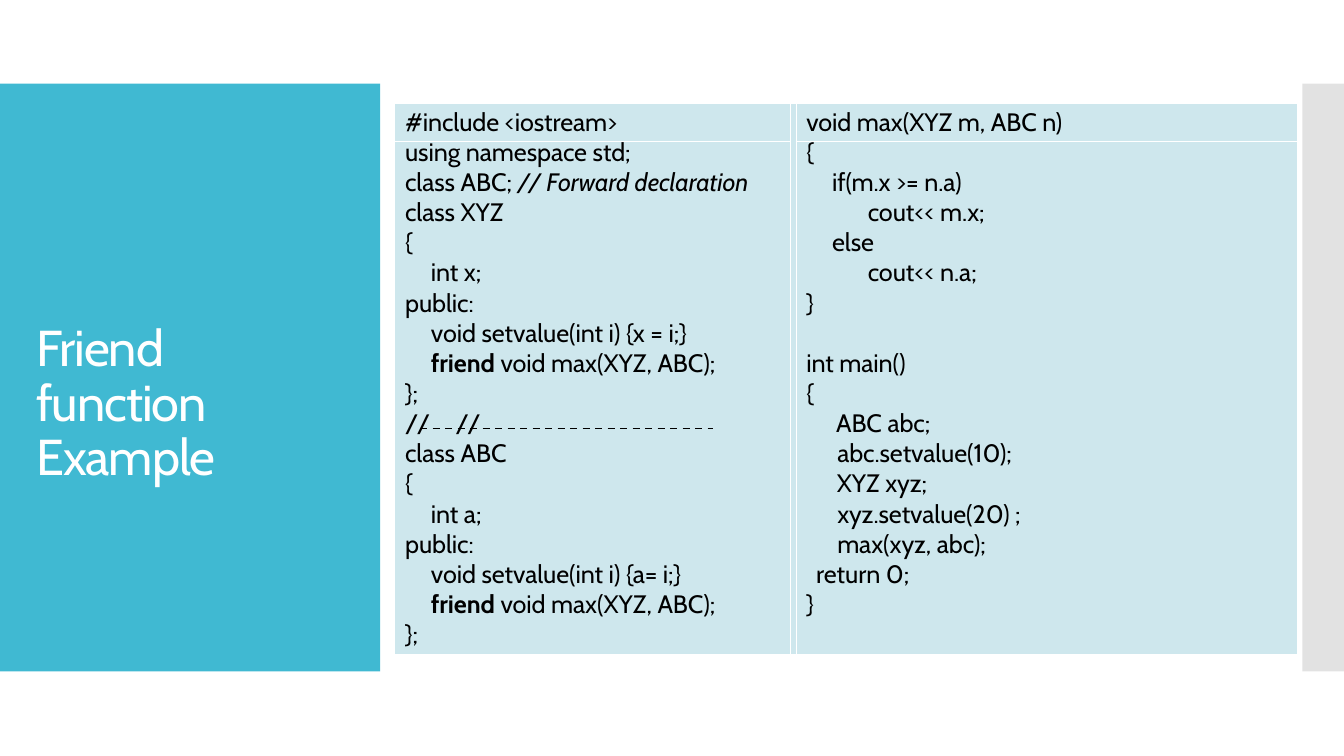
from lxml import etree
from pptx import Presentation, util as u
from pptx.dml.color import RGBColor
from pptx.enum import dml, shapes, text
from pptx.oxml import ns

COLOURS = {"teal": "40B9D2", "grey": "C7C7C7", "cell": "CEE7ED", "white": "FFFFFF", "black": "000000"}
FONT = "Cabin"
NO_STYLE = "{2D5ABB26-0587-4C30-8999-92F81FD0307C}"
STYLED = {"friend ": "bold", "// Forward declaration": "italic"}
LEFT_CODE = [
    (0.25, ["#include <iostream>"]),
    (0.25, ["using namespace std;"]),
    (0.25, ["class ABC; ", "// Forward declaration"]),
    (0.25, ["class XYZ"]),
    (0.25, ["{"]),
    (0.9, ["int x;"]),
    (0.25, ["public:"]),
    (0.9, ["void setvalue(int i) {x = i;}"]),
    (0.9, ["friend ", "void max(XYZ, ABC);"]),
    (0.25, ["};"]),
    (0.25, ["//\t//"]),
    (0.25, ["class ABC"]),
    (0.25, ["{"]),
    (0.9, ["int a;"]),
    (0.25, ["public:"]),
    (0.9, ["void setvalue(int i) {a= i;}"]),
    (0.9, ["friend ", "void max(XYZ, ABC);"]),
    (0.25, ["};"]),
]
RIGHT_CODE = [
    (0.25, ["void max(XYZ m, ABC n)"]),
    (0.25, ["{"]),
    (0.9, ["if(m.x >= n.a)"]),
    (1.8, ["cout<< m.x;"]),
    (0.9, ["else"]),
    (1.8, ["cout<< n.a;"]),
    (0.25, ["}"]),
    (0.25, []),
    (0.25, ["int main()"]),
    (0.25, ["{"]),
    (1, ["ABC abc;"]),
    (1.03, ["abc.setvalue(10);"]),
    (1.02, ["XYZ xyz;"]),
    (1.03, ["xyz.setvalue(20) ;"]),
    (1.03, ["max(xyz, abc);"]),
    (0.5, ["return 0;"]),
    (0.25, ["}"]),
    (0.25, []),
]


def add_span(para, wording, size, colour, spacing):
    span = para.add_run()
    span.text = wording
    span.font.name = FONT
    span.font.size = u.Pt(size)
    span.font.color.rgb = RGBColor.from_string(COLOURS[colour])
    span.font._element.set("spc", str(spacing))
    return span


def add_border(cell, side):
    line = etree.Element(ns.qn("a:" + side), w=str(u.Pt(1)))
    solid = etree.SubElement(line, ns.qn("a:solidFill"))
    etree.SubElement(solid, ns.qn("a:srgbClr"), val=COLOURS["white"])
    properties = cell._tc.get_or_add_tcPr()
    borders = [item for item in properties if item.tag.startswith(ns.qn("a:ln"))]
    properties.insert(len(borders), line)


deck = Presentation()
deck.slide_width, deck.slide_height = u.Cm(33.87), u.Cm(19.05)
page = deck.slides.add_slide(deck.slide_layouts[5])

for left, width, colour in [(0, 9.58, "teal"), (32.82, 1.05, "grey")]:
    panel = page.shapes.add_shape(
        shapes.MSO_SHAPE.RECTANGLE, u.Cm(left), u.Cm(2.11), u.Cm(width), u.Cm(14.81))
    panel.shadow.inherit = False
    panel.fill.solid()
    panel.fill.fore_color.rgb = RGBColor.from_string(COLOURS[colour])
    panel.line.fill.background()
    if colour == "grey":
        shade = panel._element.spPr.find(".//" + ns.qn("a:srgbClr"))
        etree.SubElement(shade, ns.qn("a:alpha"), val="50000")

frame = page.shapes.add_table(20, 3, u.Cm(9.96), u.Cm(2.11), u.Cm(22.73), u.Cm(14.8))
table = frame.table
table.first_row = table.horz_banding = False
table._tbl.tblPr.find(ns.qn("a:tableStyleId")).text = NO_STYLE
for column, width in zip(table.columns, [9.96, 0.15, 12.62]):
    column.width = u.Cm(width)
for row, height in zip(table.rows, [0.51, 0.94] + [0.76] * 17 + [0.41]):
    row.height = u.Cm(height)
for cell in table.iter_cells():
    cell.margin_left = cell.margin_right = cell.margin_top = cell.margin_bottom = 0
    cell.fill.background()

for column, code in [(0, LEFT_CODE), (2, RIGHT_CODE)]:
    for row, (indent, spans) in enumerate(code, 1):
        cell = table.cell(row, column)
        cell.fill.solid()
        cell.fill.fore_color.rgb = RGBColor.from_string(COLOURS["cell"])
        para = cell.text_frame.paragraphs[0]
        properties = para._p.get_or_add_pPr()
        properties.set("marL", str(u.Cm(indent)))
        properties.set("indent", "0")
        if row == 1:
            cell.margin_top = u.Cm(0.08)
            add_border(cell, "lnB")
        else:
            para.line_spacing = u.Pt(18.8)
        if "//\t//" in spans:
            tabs = etree.SubElement(properties, ns.qn("a:tabLst"))
            etree.SubElement(tabs, ns.qn("a:tab"), pos=str(u.Cm(8.03)), algn="l")
        for wording in spans:
            span = add_span(para, wording, 18, "black", -5)
            if wording in STYLED:
                setattr(span.font, STYLED[wording], True)

for row in range(1, 19):
    divider = table.cell(row, 1)
    divider.fill.solid()
    divider.fill.fore_color.rgb = RGBColor.from_string(COLOURS["cell"])
    add_border(divider, "lnL")
    add_border(divider, "lnR")
for cell in table.iter_cells():
    if not cell.text_frame.text:
        etree.SubElement(cell.text_frame.paragraphs[0]._p, ns.qn("a:endParaRPr"), sz="600")
table.cell(1, 1).merge(table.cell(18, 1))
for row in (0, 19):
    table.cell(row, 0).merge(table.cell(row, 2))

title = page.shapes.title
page.shapes._spTree.append(title._element)
title.left, title.top, title.width, title.height = u.Cm(0.91), u.Cm(7.87), u.Cm(7.72), u.Cm(2.97)
box = title.text_frame
box.word_wrap = True
box.auto_size = text.MSO_AUTO_SIZE.NONE
box.vertical_anchor = text.MSO_ANCHOR.TOP
box.margin_left = box.margin_right = box.margin_bottom = 0
box.margin_top = u.Cm(0.25)
para = box.paragraphs[0]
para.alignment = text.PP_ALIGN.LEFT
para.line_spacing = u.Pt(38.9)
add_span(para, "Friend function Example", 36, "white", -70)

rule = page.shapes.add_connector(
    shapes.MSO_CONNECTOR.STRAIGHT, u.Cm(10.59), u.Cm(10.8), u.Cm(17.98), u.Cm(10.8))
rule.line.color.rgb = RGBColor.from_string(COLOURS["black"])
rule.line.width = u.Pt(1.28)
rule.line.dash_style = dml.MSO_LINE.DASH
etree.SubElement(rule._element.spPr, ns.qn("a:effectLst"))

deck.save("out.pptx")
